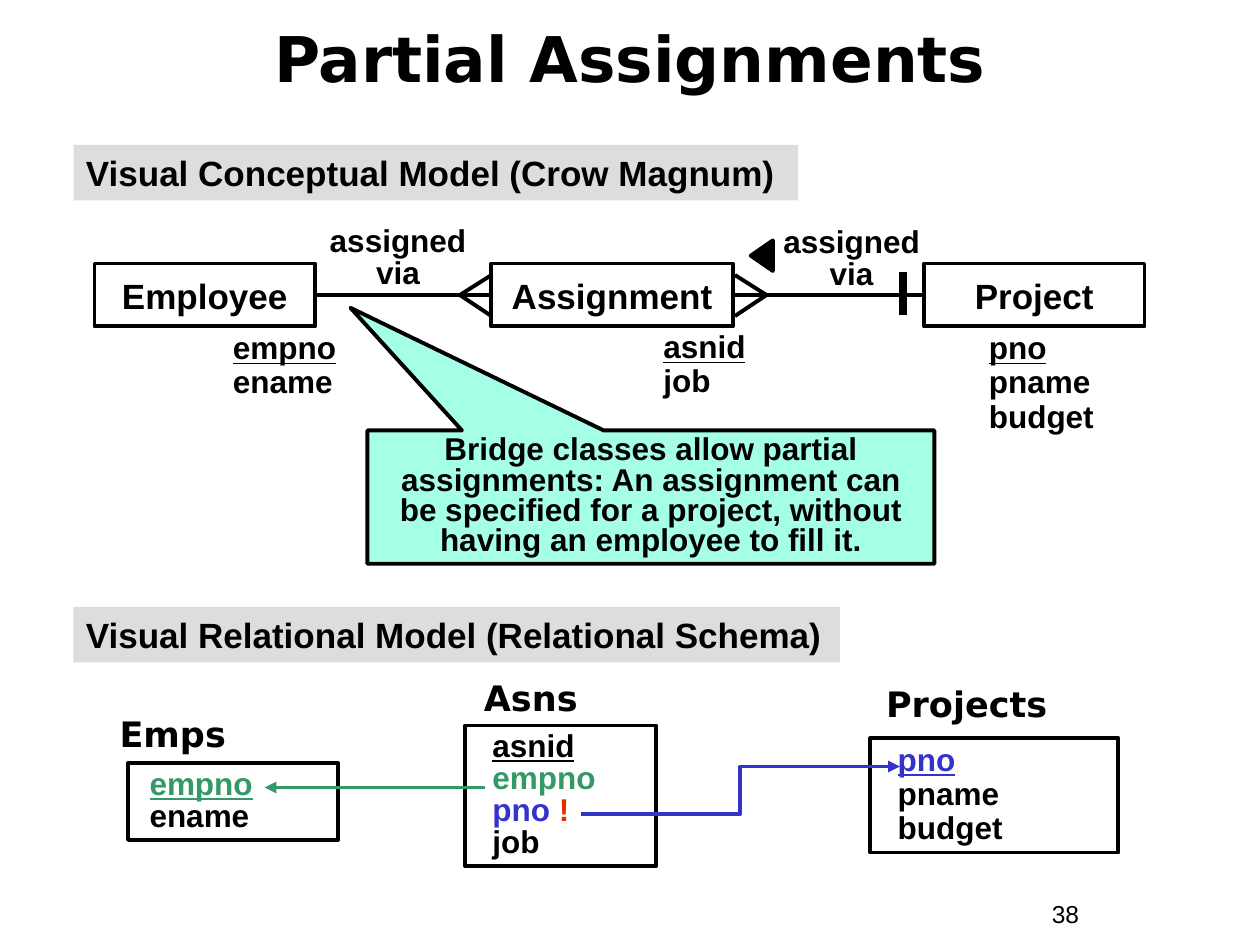
import pptx
import pptx.dml.color
import pptx.enum.shapes
import pptx.enum.text
import pptx.util
from pptx.oxml.ns import qn
from lxml import etree

COLS, ROWS = 120, 90
WIDTH, HEIGHT = pptx.util.Inches(10), pptx.util.Inches(7.5)
BLACK, GREEN, BLUE, RED = "000000", "339966", "3333CC", "EA2D00"
GREY, MINT = "DDDDDD", "A5FFE7"
SANS, TITLE_FONT = "Arial", "DejaVu Sans"
ENTITY_TOP, ENTITY_H, AXIS = 25.1, 6, 28.1
SHAPE = pptx.enum.shapes.MSO_SHAPE
CONNECTOR = pptx.enum.shapes.MSO_CONNECTOR
LEFT, CENTER = pptx.enum.text.PP_ALIGN.LEFT, pptx.enum.text.PP_ALIGN.CENTER


def x(cols):
    """Turn grid columns into a length."""
    return round(cols * WIDTH / COLS)


def y(rows):
    """Turn grid rows into a length."""
    return round(rows * HEIGHT / ROWS)


def rgb(code):
    """Turn a hex string into a colour."""
    return pptx.dml.color.RGBColor.from_string(code)


def write(sp, lines, size=18, font=SANS, bold=True, align=LEFT, spacing=1.0,
          middle=False, wrap=True, inset=1.2):
    """Write lines, each a string or a (runs, underline) pair of coloured runs."""
    tf = sp.text_frame
    tf.word_wrap = wrap
    tf.margin_left = x(inset)
    anchor = pptx.enum.text.MSO_ANCHOR
    tf.vertical_anchor = anchor.MIDDLE if middle else anchor.TOP
    for i, line in enumerate(lines):
        runs, underline = ([(line, BLACK)], False) if isinstance(line, str) else line
        p = tf.paragraphs[0] if i == 0 else tf.add_paragraph()
        p.alignment, p.line_spacing = align, spacing
        p.font.name, p.font.size = font, pptx.util.Pt(size)
        p.font.bold, p.font.underline = bold, underline
        p.font.color.rgb = rgb(runs[0][1])
        for text, color in runs:
            r = p.add_run()
            r.text = text
            if color != runs[0][1]:
                r.font.color.rgb = rgb(color)


def label(slide, box, lines, **style):
    """Add a text box on the grid."""
    left, top, width, height = box
    sp = slide.shapes.add_textbox(x(left), y(top), x(width), y(height))
    write(sp, lines, **style)


def block(slide, box, lines=(), kind=SHAPE.RECTANGLE, fill=None, line=BLACK, **style):
    """Add a preset shape on the grid, with text if there is any."""
    left, top, width, height = box
    sp = slide.shapes.add_shape(kind, x(left), y(top), x(width), y(height))
    sp.shadow.inherit = False
    if fill:
        sp.fill.solid()
        sp.fill.fore_color.rgb = rgb(fill)
    else:
        sp.fill.background()
    if line:
        sp.line.color.rgb = rgb(line)
        sp.line.width = pptx.util.Pt(2.25)
    else:
        sp.line.fill.background()
    if lines:
        write(sp, lines, **style)
    return sp


def link(slide, start, end, color=BLACK, weight=2.25, kind=CONNECTOR.STRAIGHT, arrow=False):
    """Add a connector between two grid points."""
    cx = slide.shapes.add_connector(kind, x(start[0]), y(start[1]), x(end[0]), y(end[1]))
    cx.line.color.rgb = rgb(color)
    cx.line.width = pptx.util.Pt(weight)
    if arrow:
        etree.SubElement(cx.line._get_or_add_ln(), qn("a:tailEnd"), type="triangle")
    etree.SubElement(cx._element.spPr, qn("a:effectLst"))
    return cx


def entity(slide, left, width, name):
    """Add an entity box of the conceptual model."""
    return block(slide, (left, ENTITY_TOP, width, ENTITY_H), [name],
                 size=20, align=CENTER, middle=True, wrap=False)


def relate(slide, first, second):
    """Join the right side of one entity to the left side of the next."""
    cx = link(slide, (0, AXIS), (1, AXIS))
    cx.begin_connect(first, 3)
    cx.end_connect(second, 1)


def crow_foot(slide, tip, edge):
    """Draw the two outer toes of a crow's foot."""
    for toe in (26.2, 30.1):
        link(slide, (tip, AXIS), (edge, toe))


def key(name, color=BLACK):
    """Describe an underlined key line."""
    return [(name, color)], True


def conceptual_model(slide):
    """Draw the upper diagram."""
    block(slide, (7, 13.8, 69, 5.3), ["Visual Conceptual Model (Crow Magnum)"],
          fill=GREY, line=None, size=20)
    callout = block(slide, (35, 41, 54, 12.7),
                    ["Bridge classes allow partial assignments: An assignment can be "
                     "specified for a project, without having an employee to fill it."],
                    kind=SHAPE.RECTANGULAR_CALLOUT, fill=MINT, align=CENTER, spacing=0.8)
    callout.adjustments[0], callout.adjustments[1] = -0.53, -1.42
    employee = entity(slide, 9, 21, "Employee")
    assignment = entity(slide, 46.8, 23, "Assignment")
    project = entity(slide, 88, 21, "Project")
    relate(slide, employee, assignment)
    relate(slide, assignment, project)
    crow_foot(slide, 43.8, 46.8)
    crow_foot(slide, 73, 70)
    link(slide, (86, 25.9), (86, 30), weight=4.5)
    for left, top in ((29.9, 21), (73.1, 21.1)):
        label(slide, (left, top, 16, 7.3), ["assigned via"], align=CENTER, spacing=0.85)
    pointer = block(slide, (71.1, 23.3, 2.9, 2.1), kind=SHAPE.ISOSCELES_TRIANGLE, fill=BLACK)
    pointer.rotation = 270
    for box, lines in (((21, 31.1, 18, 7.7), [key("empno"), "ename"]),
                       ((62, 31, 21, 7.7), [key("asnid"), "job"]),
                       ((93, 31.1, 20, 10.9), [key("pno"), "pname", "budget"])):
        label(slide, box, lines, spacing=0.9)


def relational_model(slide):
    """Draw the lower diagram."""
    block(slide, (7, 57.8, 73, 5.3), ["Visual Relational Model (Relational Schema)"],
          fill=GREY, line=None, size=20)
    tables = (
        ("Emps", (10.2, 67.3), (12.2, 72.7, 20, 7.3), 2.04, 0.85,
         [key("empno", GREEN), "ename"]),
        ("Asns", (44.9, 63.8), (44.3, 69.1, 18.2, 13.4), 2.6, 0.85,
         [key("asnid"), ([("empno", GREEN)], False),
          ([("pno ", BLUE), ("!", RED)], False), "job"]),
        ("Projects", (83.2, 64.4), (82.9, 70.3, 23.6, 10.9), 2.6, 0.9,
         [key("pno", BLUE), "pname", "budget"]),
    )
    for name, corner, box, inset, spacing, lines in tables:
        label(slide, (*corner, 25.8, 5.3), [name], size=20, font=TITLE_FONT)
        block(slide, box, lines, inset=inset, spacing=spacing)
    link(slide, (46.2, 75), (25.2, 75), GREEN, arrow=True)
    link(slide, (55.3, 77.5), (85.7, 73), BLUE, kind=CONNECTOR.ELBOW, arrow=True)


def main():
    """Build and save the slide."""
    prs = pptx.Presentation()
    prs.slide_width, prs.slide_height = WIDTH, HEIGHT
    slide = prs.slides.add_slide(prs.slide_layouts[6])
    label(slide, (4, 1, 112, 9), ["Partial Assignments"], size=36,
          font=TITLE_FONT, align=CENTER, middle=True)
    conceptual_model(slide)
    relational_model(slide)
    label(slide, (99, 85, 11, 4.1), ["38"], size=14, bold=False)
    prs.save("out.pptx")


if __name__ == "__main__":
    main()
